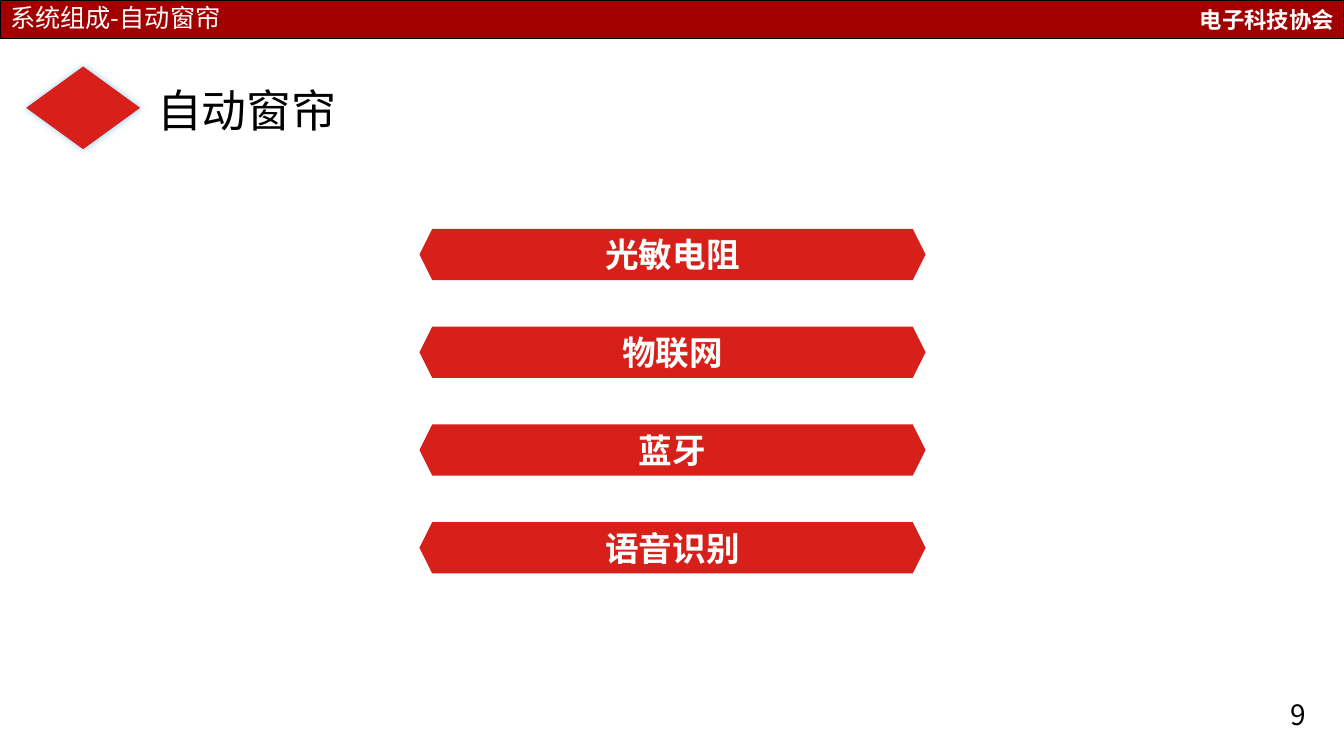
"""Build the automatic curtain slide."""
from lxml import etree
from pptx import Presentation
from pptx.dml.color import RGBColor
from pptx.enum.shapes import MSO_SHAPE
from pptx.enum.text import MSO_ANCHOR, MSO_AUTO_SIZE, PP_ALIGN
from pptx.oxml.ns import qn
from pptx.util import Inches, Pt

RECT, DIAMOND, HEXAGON = MSO_SHAPE.RECTANGLE, MSO_SHAPE.DIAMOND, MSO_SHAPE.HEXAGON
TOP, MIDDLE = MSO_ANCHOR.TOP, MSO_ANCHOR.MIDDLE
LEFT, CENTER, RIGHT = PP_ALIGN.LEFT, PP_ALIGN.CENTER, PP_ALIGN.RIGHT
GROW = MSO_AUTO_SIZE.SHAPE_TO_FIT_TEXT
TITLE_ONLY = 5
SANS = "Noto Sans CJK SC"
COLORS = {"bar": "A20000", "red": "D7201A", "glow": "3D94E4",
          "black": "000000", "white": "FFFFFF"}
PARTS = ["光敏电阻", "物联网", "蓝牙", "语音识别"]


def color(name):
    """Return a named colour."""
    return RGBColor.from_string(COLORS[name])


def write(shape, text, size, tint, align=LEFT, anchor=TOP, bold=False,
          face=SANS, asian=SANS):
    """Write one styled run into a shape."""
    frame = shape.text_frame
    frame.word_wrap = True
    frame.vertical_anchor = anchor
    para = frame.paragraphs[0]
    para.alignment = align
    run = para.add_run()
    run.text = text
    font = run.font
    font.size, font.bold, font.name = Pt(size), bold, face
    font.color.rgb = color(tint)
    props = run._r.get_or_add_rPr()
    etree.SubElement(props, qn("a:ea")).set("typeface", asian)
    return para


def add_block(shapes, kind, box, fill, line=None):
    """Add a flat filled shape."""
    block = shapes.add_shape(kind, *map(Inches, box))
    block.shadow.inherit = False
    block.fill.solid()
    block.fill.fore_color.rgb = color(fill)
    if line:
        block.line.color.rgb = color(line)
        block.line.width = Pt(1)
    else:
        block.line.fill.background()
    return block


def add_glow(shape, tint, blur, alpha):
    """Give a shape a soft centred shadow."""
    effects = shape.element.spPr.find(qn("a:effectLst"))
    outer = etree.SubElement(effects, qn("a:outerShdw"), blurRad=str(Pt(blur)),
                             dist="0", dir="0", algn="ctr", rotWithShape="0")
    tone = etree.SubElement(outer, qn("a:srgbClr"), val=COLORS[tint])
    etree.SubElement(tone, qn("a:alpha"), val=str(alpha * 1000))


def add_header(slide):
    """Add the top bar and set the title over it."""
    bar = add_block(slide.shapes, RECT, (0, 0, 13.33, 0.38), "bar", "black")
    write(bar, "电子科技协会", 16, "white", RIGHT, MIDDLE, True)
    title = slide.shapes.title
    title.left, title.top = Inches(0), Inches(0.01)
    title.width, title.height = Inches(8.21), Inches(0.37)
    para = write(title, "系统组成-自动窗帘", 18, "white")
    para.line_spacing = 0.9
    title.text_frame.auto_size = GROW
    bar.element.addnext(title.element)


def add_heading(slide):
    """Add the grouped diamond and section heading."""
    group = slide.shapes.add_group_shape()
    mark = add_block(group.shapes, DIAMOND, (0.26, 0.66, 1.13, 0.82), "red")
    add_glow(mark, "glow", 5, 50)
    label = group.shapes.add_textbox(*map(Inches, (1.46, 0.77, 4.94, 0.64)))
    write(label, "自动窗帘", 32, "black", face="Calibri")
    label.text_frame.auto_size = GROW


def add_parts(slide):
    """Add the evenly spaced hexagon labels."""
    for row, name in enumerate(PARTS):
        box = (4.16, 2.27 + 0.97 * row, 5.02, 0.51)
        part = add_block(slide.shapes, HEXAGON, box, "red")
        write(part, name, 24, "white", CENTER, MIDDLE, True)


def add_number(slide):
    """Add the page number."""
    page = slide.shapes.add_textbox(*map(Inches, (12.43, 6.8, 0.9, 0.58)))
    face = "Noto Sans CJK JP"
    write(page, "9", 20, "black", CENTER, MIDDLE, face=face, asian=face)


def main():
    """Build and save the slide."""
    deck = Presentation()
    deck.slide_width, deck.slide_height = Inches(13.33), Inches(7.5)
    slide = deck.slides.add_slide(deck.slide_layouts[TITLE_ONLY])
    add_header(slide)
    add_number(slide)
    add_heading(slide)
    add_parts(slide)
    deck.save("out.pptx")


if __name__ == "__main__":
    main()
